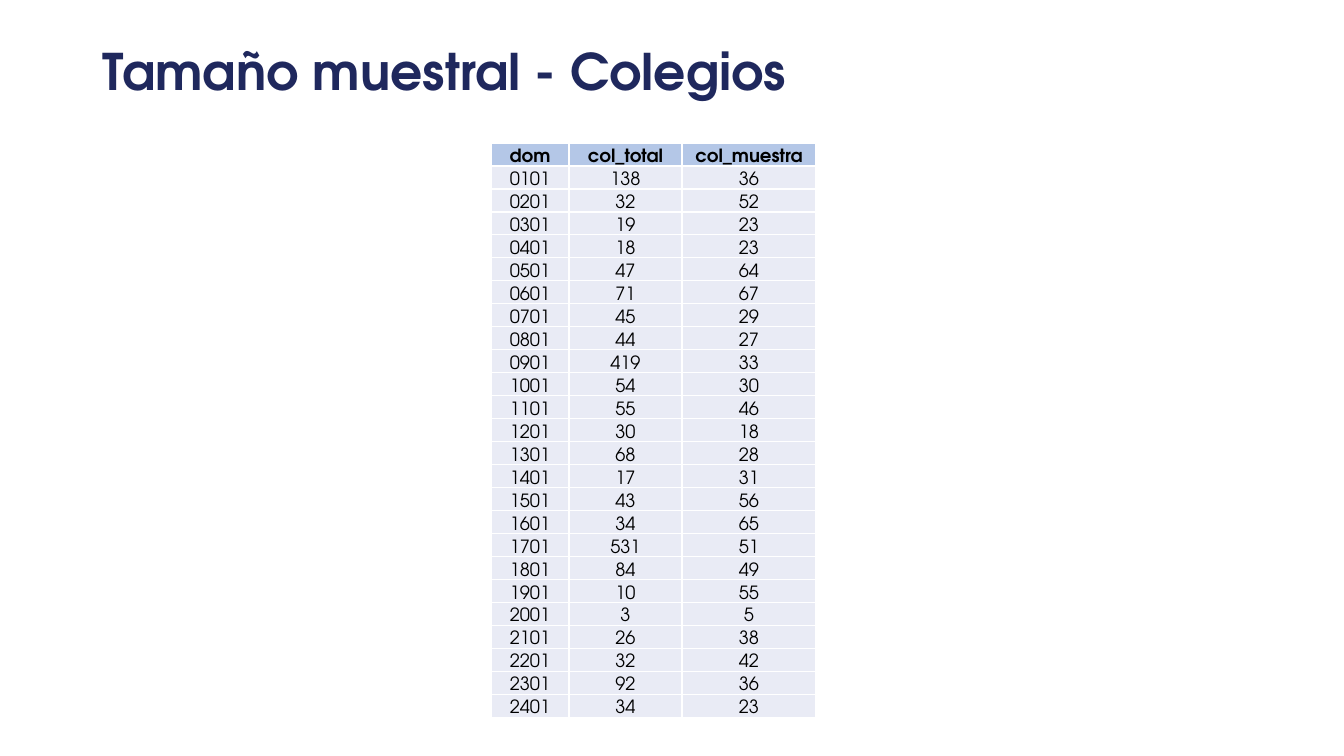
"""Build the slide on the sample size of schools by domain."""
import dataclasses
import typing

import lxml.etree
import pptx
import pptx.dml.color
import pptx.enum.text
import pptx.oxml.ns
import pptx.slide
import pptx.table
import pptx.text.text
import pptx.util


@dataclasses.dataclass(frozen=True)
class Theme:
    family: str = "TeX Gyre Adventor"
    title_color: str = "1F285D"
    text_color: str = "000000"
    header_fill: str = "B4C7E7"
    body_fill: str = "E9EBF5"
    border_color: str = "FFFFFF"
    title_size: int = 36
    table_size: int = 13
    border_width: int = 1


class Domain(typing.NamedTuple):
    dom: str
    col_total: int
    col_muestra: int


class Area(typing.NamedTuple):
    left: int
    top: int
    width: int
    height: int


THEME = Theme()
PAGE_WIDTH, PAGE_HEIGHT = 1344, 756
TITLE_AREA = Area(93, 37, 853, 75)
TABLE_LEFT, TABLE_TOP = 491, 143
COLUMN_WIDTHS = (78, 113, 134)
ROW_HEIGHT = 23
CELL_FORMAT = {"margin_left": 1, "margin_top": 1, "margin_right": 1, "margin_bottom": 0}
DOMAINS = (
    Domain("0101", 138, 36),
    Domain("0201", 32, 52),
    Domain("0301", 19, 23),
    Domain("0401", 18, 23),
    Domain("0501", 47, 64),
    Domain("0601", 71, 67),
    Domain("0701", 45, 29),
    Domain("0801", 44, 27),
    Domain("0901", 419, 33),
    Domain("1001", 54, 30),
    Domain("1101", 55, 46),
    Domain("1201", 30, 18),
    Domain("1301", 68, 28),
    Domain("1401", 17, 31),
    Domain("1501", 43, 56),
    Domain("1601", 34, 65),
    Domain("1701", 531, 51),
    Domain("1801", 84, 49),
    Domain("1901", 10, 55),
    Domain("2001", 3, 5),
    Domain("2101", 26, 38),
    Domain("2201", 32, 42),
    Domain("2301", 92, 36),
    Domain("2401", 34, 23),
)


def emu(pixels: int) -> pptx.util.Emu:
    return pptx.util.Emu(round(pixels * 914400 / 100.8))


def color(value: str) -> pptx.dml.color.RGBColor:
    return pptx.dml.color.RGBColor.from_string(value)


def apply(target: object, values: dict[str, typing.Any]) -> None:
    for name, value in values.items():
        setattr(target, name, value)


def write(para: pptx.text.text._Paragraph, text: str, size: int, tint: str, bold: bool) -> None:
    span = para.add_run()
    span.text = text
    apply(span.font, {"name": THEME.family, "size": pptx.util.Pt(size), "bold": bold})
    span.font.color.rgb = color(tint)


def add_title(page: pptx.slide.Slide, text: str) -> None:
    box = page.shapes.add_textbox(*map(emu, TITLE_AREA))
    apply(box.text_frame, {
        "word_wrap": True,
        "vertical_anchor": pptx.enum.text.MSO_ANCHOR.MIDDLE,
    })
    para = box.text_frame.paragraphs[0]
    para.line_spacing = 0.9
    write(para, text, THEME.title_size, THEME.title_color, True)


def add_borders(cell: pptx.table._Cell) -> None:
    properties = cell._tc.get_or_add_tcPr()
    for side in ("a:lnL", "a:lnR", "a:lnT", "a:lnB"):
        line = lxml.etree.SubElement(properties, pptx.oxml.ns.qn(side))
        line.set("w", str(pptx.util.Pt(THEME.border_width)))
        fill = lxml.etree.SubElement(line, pptx.oxml.ns.qn("a:solidFill"))
        tint = lxml.etree.SubElement(fill, pptx.oxml.ns.qn("a:srgbClr"))
        tint.set("val", THEME.border_color)


def fill_cell(cell: pptx.table._Cell, text: str, header: bool) -> None:
    apply(cell, {name: emu(value) for name, value in CELL_FORMAT.items()})
    cell.vertical_anchor = pptx.enum.text.MSO_ANCHOR.BOTTOM
    add_borders(cell)
    cell.fill.solid()
    cell.fill.fore_color.rgb = color(THEME.header_fill if header else THEME.body_fill)
    para = cell.text_frame.paragraphs[0]
    para.alignment = pptx.enum.text.PP_ALIGN.CENTER
    write(para, text, THEME.table_size, THEME.text_color, header)


def add_domain_table(page: pptx.slide.Slide) -> None:
    rows = (Domain._fields, *DOMAINS)
    area = Area(TABLE_LEFT, TABLE_TOP, sum(COLUMN_WIDTHS), ROW_HEIGHT * len(rows))
    table = page.shapes.add_table(len(rows), len(COLUMN_WIDTHS), *map(emu, area)).table
    apply(table, {"first_row": False, "horz_banding": False})
    for column, width in zip(table.columns, COLUMN_WIDTHS):
        column.width = emu(width)
    for row_index, values in enumerate(rows):
        table.rows[row_index].height = emu(ROW_HEIGHT)
        for column_index, value in enumerate(values):
            fill_cell(table.cell(row_index, column_index), str(value), row_index == 0)


def main() -> None:
    deck = pptx.Presentation()
    apply(deck, {"slide_width": emu(PAGE_WIDTH), "slide_height": emu(PAGE_HEIGHT)})
    page = deck.slides.add_slide(deck.slide_layouts[6])
    add_title(page, "Tamaño muestral - Colegios")
    add_domain_table(page)
    deck.save("out.pptx")


if __name__ == "__main__":
    main()
